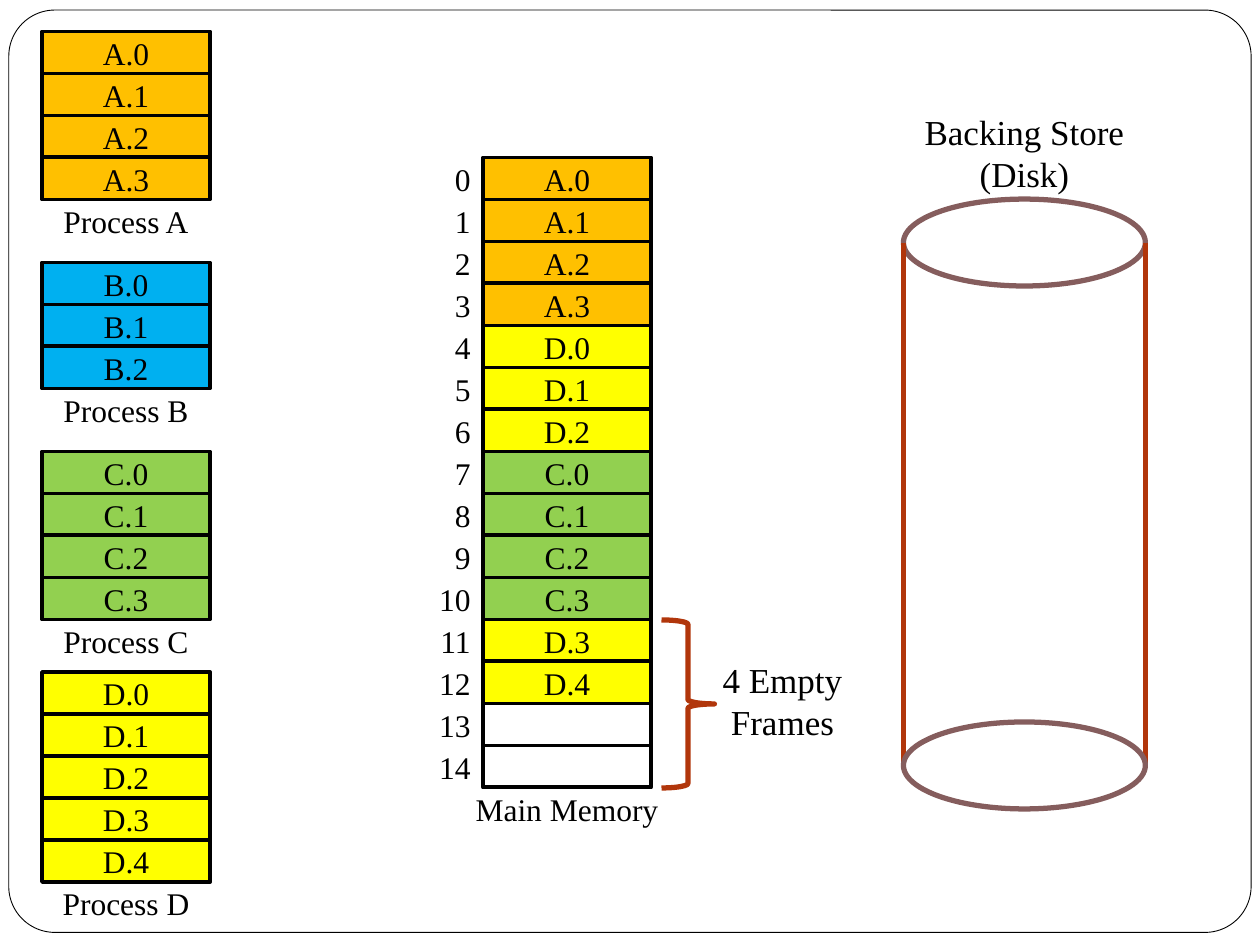
from dataclasses import dataclass

from lxml import etree
from pptx import Presentation
from pptx.dml.color import RGBColor
from pptx.enum.shapes import MSO_CONNECTOR, MSO_SHAPE
from pptx.enum.text import MSO_ANCHOR, PP_ALIGN
from pptx.oxml.ns import qn
from pptx.shapes.autoshape import Shape
from pptx.shapes.shapetree import GroupShapes, SlideShapes
from pptx.util import Inches, Pt

RECT = MSO_SHAPE.RECTANGLE
ROUND = MSO_SHAPE.ROUNDED_RECTANGLE
OVAL = MSO_SHAPE.OVAL
BRACE = MSO_SHAPE.RIGHT_BRACE
LINE = MSO_CONNECTOR.STRAIGHT
MIDDLE = MSO_ANCHOR.MIDDLE
CENTER = PP_ALIGN.CENTER
RIGHT = PP_ALIGN.RIGHT

BLACK = RGBColor(0, 0, 0)
WHITE = RGBColor(0xFF, 0xFF, 0xFF)
ORANGE = RGBColor(0xFF, 0xC0, 0x00)
BLUE = RGBColor(0x00, 0xB0, 0xF0)
GREEN = RGBColor(0x92, 0xD0, 0x50)
YELLOW = RGBColor(0xFF, 0xFF, 0x00)
RUST = RGBColor(0xB1, 0x36, 0x0B)
MAUVE = RGBColor(0x85, 0x5D, 0x5D)

FONT = "Times New Roman"
ROW = 1 / 3
WIDE = 4 * ROW
LABEL = 5 * ROW
FRAMES = 15


@dataclass(frozen=True)
class Box:
    left: float
    top: float
    width: float
    height: float


@dataclass(frozen=True)
class Process:
    name: str
    pages: int
    top: float
    color: RGBColor


@dataclass(frozen=True)
class Load:
    name: str
    first: int
    last: int
    color: RGBColor


PROCS = [
    Process("A", 4, 0.25, ORANGE),
    Process("B", 3, 0.25 + 5.5 * ROW, BLUE),
    Process("C", 4, 0.25 + 10 * ROW, GREEN),
    Process("D", 5, 16 * ROW, YELLOW),
]
LOADS = [
    Load("A", 0, 3, ORANGE),
    Load("D", 0, 2, YELLOW),
    Load("C", 0, 3, GREEN),
    Load("D", 3, 4, YELLOW),
]


def write(shape: Shape, lines: list[str], size: int = 18, align: PP_ALIGN = CENTER) -> None:
    frame = shape.text_frame
    frame.word_wrap = True
    frame.vertical_anchor = MIDDLE
    for index, line in enumerate(lines):
        para = frame.add_paragraph() if index else frame.paragraphs[0]
        para.alignment = align
        run = para.add_run()
        run.text = line
        run.font.name = FONT
        run.font.size = Pt(size)
        run.font.color.rgb = BLACK


def add_text(shapes: SlideShapes, box: Box, lines: list[str], size: int = 18,
             align: PP_ALIGN = CENTER) -> None:
    text = shapes.add_textbox(Inches(box.left), Inches(box.top),
                              Inches(box.width), Inches(box.height))
    write(text, lines, size, align)


def add_form(shapes: SlideShapes | GroupShapes, kind: MSO_SHAPE, box: Box,
             fill: RGBColor | None, color: RGBColor, weight: float) -> Shape:
    form = shapes.add_shape(kind, Inches(box.left), Inches(box.top),
                            Inches(box.width), Inches(box.height))
    form.shadow.inherit = False
    if fill is None:
        form.fill.background()
    else:
        form.fill.solid()
        form.fill.fore_color.rgb = fill
    form.line.color.rgb = color
    form.line.width = Pt(weight)
    return form


def add_page(shapes: SlideShapes, left: float, top: float, color: RGBColor, name: str) -> None:
    page = add_form(shapes, RECT, Box(left, top, WIDE, ROW), color, BLACK, 2.25)
    if name:
        write(page, [name])


def add_name(shapes: SlideShapes, left: float, top: float, name: str) -> None:
    add_text(shapes, Box(left - ROW / 2, top, LABEL, ROW), [name])


def add_proc(shapes: SlideShapes, proc: Process) -> None:
    for page in range(proc.pages):
        add_page(shapes, ROW, proc.top + page * ROW, proc.color, f"{proc.name}.{page}")
    add_name(shapes, ROW, proc.top + proc.pages * ROW, f"Process {proc.name}")


def add_memory(shapes: SlideShapes, left: float, top: float) -> None:
    pages = [(f"{load.name}.{page}", load.color)
             for load in LOADS for page in range(load.first, load.last + 1)]
    pages += [("", WHITE)] * (FRAMES - len(pages))
    for index, (name, color) in enumerate(pages):
        y = top + index * ROW
        add_text(shapes, Box(left - 0.58, y, 0.58, ROW), [str(index)], align=RIGHT)
        add_page(shapes, left, y, color, name)
    add_name(shapes, left, top + FRAMES * ROW, "Main Memory")


def add_disk(shapes: SlideShapes, box: Box, rim: float) -> None:
    group = shapes.add_group_shape().shapes
    base = box.top + box.height - rim
    add_form(group, OVAL, Box(box.left, box.top, box.width, rim), WHITE, MAUVE, 3)
    for x in (box.left, box.left + box.width):
        side = group.add_connector(LINE, Inches(x), Inches(box.top + rim / 2),
                                   Inches(x), Inches(base + rim / 2))
        side.line.color.rgb = RUST
        side.line.width = Pt(3)
        etree.SubElement(side._element.spPr, qn("a:effectLst"))
    add_form(group, OVAL, Box(box.left, base, box.width, rim), WHITE, MAUVE, 3)


def main() -> None:
    deck = Presentation()
    deck.slide_width = Inches(10)
    deck.slide_height = Inches(7.5)
    shapes = deck.slides.add_slide(deck.slide_layouts[6]).shapes

    border = add_form(shapes, ROUND, Box(0.07, 0.08, 9.86, 7.32), WHITE, BLACK, 0.5)
    border.adjustments[0] = 0.05
    for proc in PROCS:
        add_proc(shapes, proc)
    add_memory(shapes, 11.5 * ROW, 1.25)
    add_text(shapes, Box(5.5, 5.08, 1.42, 0.96), ["4 Empty Frames"], 20)
    add_form(shapes, BRACE, Box(5.25, 4.92, 0.42, WIDE), None, RUST, 3)
    add_disk(shapes, Box(7.17, 1.58, 1.92, 4.84), 0.69)
    add_text(shapes, Box(7.17, 0.92, 1.92, 0.58), ["Backing Store", "(Disk)"], 20)
    deck.save("out.pptx")


if __name__ == "__main__":
    main()
